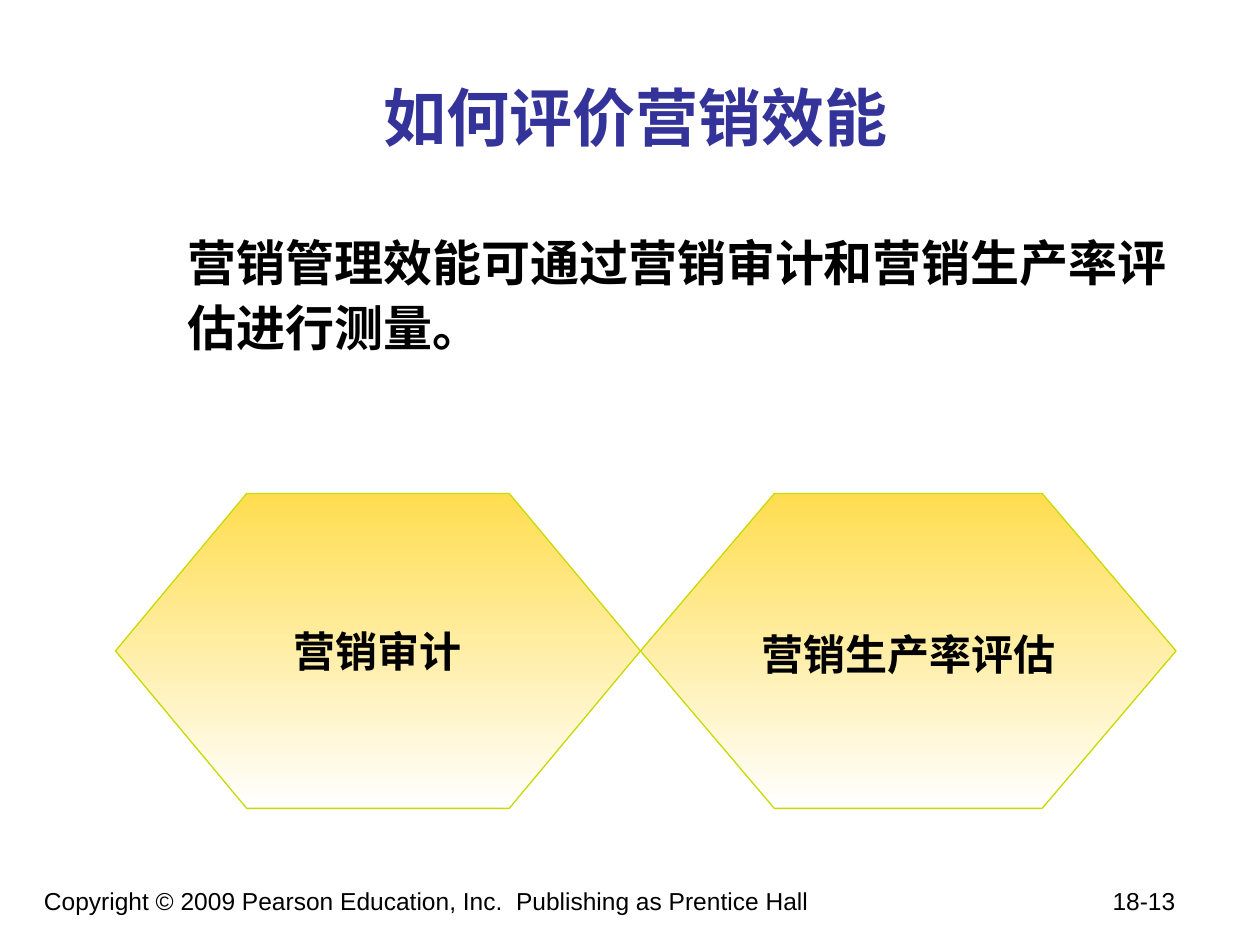
from lxml.etree import SubElement
from pptx import Presentation
from pptx.dml.color import RGBColor
from pptx.enum.shapes import MSO_SHAPE as Shape
from pptx.enum.text import MSO_ANCHOR as Anchor, MSO_AUTO_SIZE as AutoSize, PP_ALIGN as Align
from pptx.oxml.ns import qn
from pptx.util import Inches, Pt

COLORS = {"title": "333399", "text": "000000", "top": "FFDD4F",
          "bottom": "FFFFFF", "outline": "C7DB07"}
LATIN, CHINESE = "Arial", "Noto Sans CJK SC"
CELL = Inches(1) / 12  # the grid has 120 columns and 90 rows


def color(name):
    return RGBColor.from_string(COLORS[name])


def grid(*cells):
    return [round(cell * CELL) for cell in cells]


class SlideBuilder:
    def __init__(self, page):
        self.page = page

    def set_text(self, box, text, size, bold=False, ink="text", latin=LATIN,
                 align=Align.LEFT, anchor=Anchor.TOP, wrap=True, spacing=None):
        frame = box.text_frame
        frame.auto_size = AutoSize.NONE
        frame.word_wrap = wrap
        frame.vertical_anchor = anchor
        para = frame.paragraphs[0]
        para.text = text
        para.alignment = align
        if spacing:
            para.line_spacing = spacing
        font = para.font
        font.name, font.size, font.bold = latin, Pt(size), bold
        font.color.rgb = color(ink)
        defaults = para._p.pPr.find(qn("a:defRPr"))
        SubElement(defaults, qn("a:ea")).set("typeface", CHINESE)
        return para

    def title(self, text, *cells):
        box = self.page.shapes.title
        box.left, box.top, box.width, box.height = grid(*cells)
        self.set_text(box, text, 36, bold=True, ink="title", latin=CHINESE,
                      align=Align.CENTER, anchor=Anchor.MIDDLE)

    def body(self, text, *cells):
        box = self.page.shapes.add_textbox(*grid(*cells))
        para = self.set_text(box, text, 28, bold=True, spacing=1.1)
        para._p.pPr.set("marL", str(Inches(0.81)))

    def hexagon(self, text, *cells, spacing=None):
        box = self.page.shapes.add_shape(Shape.HEXAGON, *grid(*cells))
        box.shadow.inherit = False
        # The slanted sides take a quarter of the width each
        box.adjustments[0] = box.width / 4 / box.height
        box.fill.gradient()
        box.fill.gradient_angle = 270
        for stop, position, name in zip(box.fill.gradient_stops, (0, 1), ("top", "bottom")):
            stop.position = position
            stop.color.rgb = color(name)
        box.line.color.rgb = color("outline")
        box.line.width = Pt(0.75)
        self.set_text(box, text, 24, bold=True, align=Align.CENTER,
                      anchor=Anchor.MIDDLE, wrap=False, spacing=spacing)

    def footer(self, notice, number, *cells):
        box = self.page.shapes.add_textbox(*grid(*cells))
        para = box.text_frame.paragraphs[0]
        tabs = SubElement(para._p.get_or_add_pPr(), qn("a:tabLst"))
        tab = SubElement(tabs, qn("a:tab"))
        tab.set("pos", str(Inches(8.98)))
        tab.set("algn", "r")
        self.set_text(box, f"{notice}\t{number}", 14)


def main():
    deck = Presentation()
    deck.slide_width, deck.slide_height = Inches(10), Inches(7.5)
    builder = SlideBuilder(deck.slides.add_slide(deck.slide_layouts[5]))

    # Footer
    builder.footer("Copyright © 2009 Pearson Education, Inc.  Publishing as Prentice Hall",
                   "18-13", 3, 83.75, 112, 6.25)

    # Title and statement
    builder.title("如何评价营销效能", 10, 3.6, 101, 15)
    builder.body("营销管理效能可通过营销审计和营销生产率评估进行测量。", 7, 21, 109, 62)

    # The two measures, side by side
    builder.hexagon("营销审计", 11, 47, 50, 30)
    builder.hexagon("营销生产率评估", 61, 47, 51, 30, spacing=1.1)

    deck.save("out.pptx")


if __name__ == "__main__":
    main()
